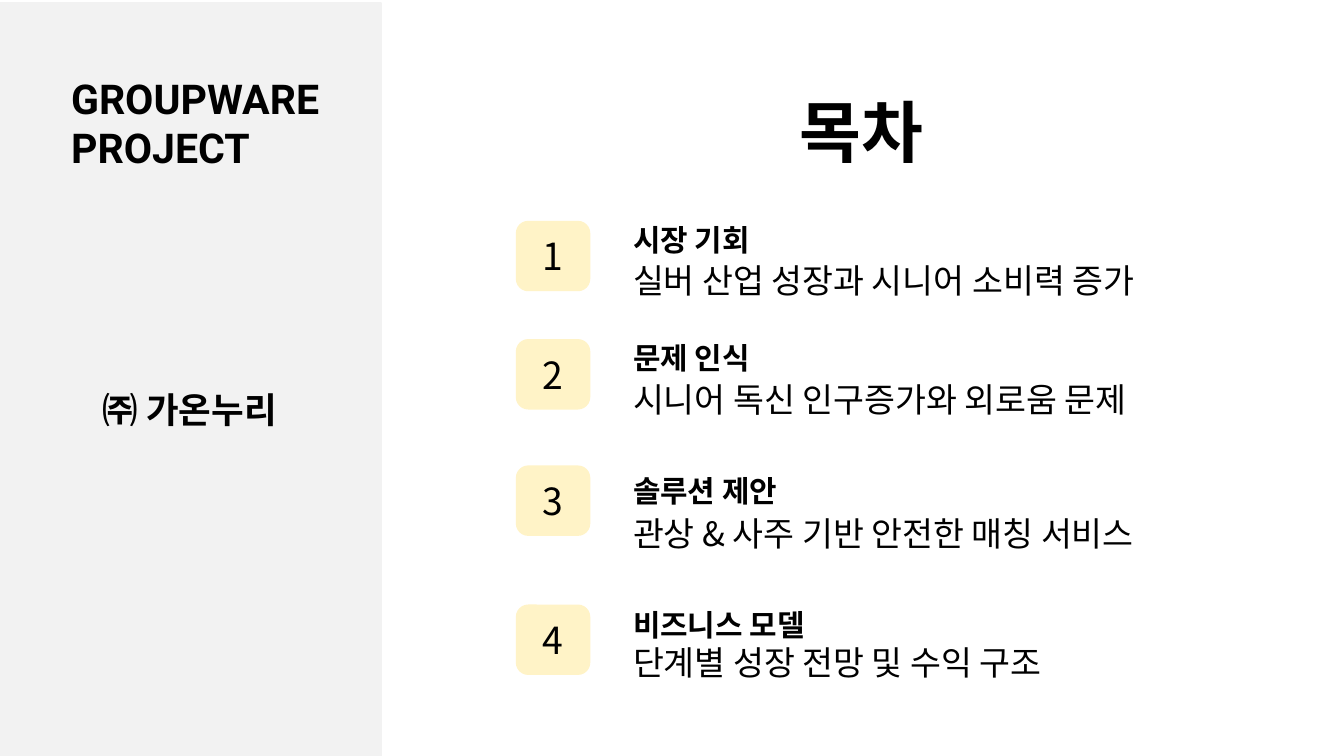
"""Build a Korean contents slide with a grey sidebar and four numbered topics."""
from lxml import etree
from pptx import Presentation
from pptx.dml.color import RGBColor
from pptx.enum.shapes import MSO_SHAPE
from pptx.enum.text import MSO_ANCHOR, PP_ALIGN
from pptx.oxml.ns import qn
from pptx.util import Inches, Pt

RECTANGLE, ROUNDED = MSO_SHAPE.RECTANGLE, MSO_SHAPE.ROUNDED_RECTANGLE
TOP, MIDDLE = MSO_ANCHOR.TOP, MSO_ANCHOR.MIDDLE
LEFT, CENTER, JUSTIFY = PP_ALIGN.LEFT, PP_ALIGN.CENTER, PP_ALIGN.JUSTIFY
COLORS = {"sidebar": "F2F2F2", "badge": "FFF3C7", "text": "000000"}
KOREAN = "Noto Sans CJK KR"
COLUMNS, ROWS = 20, 11.25

deck = Presentation()
deck.slide_width, deck.slide_height = Inches(COLUMNS), Inches(ROWS)
column, row = deck.slide_width / COLUMNS, deck.slide_height / ROWS
slide = deck.slides.add_slide(deck.slide_layouts[5])


def add_panel(kind, color, left, top, width, height):
    panel = slide.shapes.add_shape(
        kind, int(left * column), int(top * row), int(width * column), int(height * row))
    panel.shadow.inherit = False
    panel.fill.solid()
    panel.fill.fore_color.rgb = RGBColor.from_string(COLORS[color])
    panel.line.color.rgb = RGBColor.from_string(COLORS[color])
    panel.line.width = Pt(2)
    return panel


def write(box, lines, size, font=KOREAN, bold=False, align=LEFT, anchor=MIDDLE,
          spacing=None, inset=0.0):
    frame = box.text_frame
    frame.word_wrap = True
    frame.vertical_anchor = anchor
    frame.margin_left = frame.margin_right = Inches(inset)
    frame.margin_top = frame.margin_bottom = Inches(inset / 2)
    frame.text = "\n".join(lines)
    for para in frame.paragraphs:
        para.alignment = align
        para.line_spacing = spacing
        para.font.size = Pt(size)
        para.font.bold = bold
        para.font.color.rgb = RGBColor.from_string(COLORS["text"])
        para.font.name = font
        properties = para._p.pPr.find(qn("a:defRPr"))
        etree.SubElement(properties, qn("a:ea")).set("typeface", font)


add_panel(RECTANGLE, "sidebar", 0, 0.04, 5.67, 11.21)

title = slide.shapes.title
title.left, title.top = int(3.5 * column), int(1.32 * row)
title.width, title.height = int(18.64 * column), int(1.25 * row)
write(title, ["목차"], 72, bold=True, align=CENTER, inset=0.1)

sidebar_texts = [
    (0.96, 1.04, 3.96, 1.45, ["GROUPWARE", "PROJECT"], 44, "Roboto", JUSTIFY, TOP, None),
    (1.43, 5.3, 3.03, 1.28, ["㈜ 가온누리"], 38, "Calibri", LEFT, MIDDLE, 1.5),
]
for left, top, width, height, lines, size, font, align, anchor, spacing in sidebar_texts:
    box = slide.shapes.add_textbox(
        int(left * column), int(top * row), int(width * column), int(height * row))
    write(box, lines, size, font, True, align, anchor, spacing, 0.1)

topics = [
    (3.3, 3.3, 0.59, 3.85, "시장 기회", "실버 산업 성장과 시니어 소비력 증가"),
    (5.06, 5.08, 0.55, 5.62, "문제 인식", "시니어 독신 인구증가와 외로움 문제"),
    (6.94, 7.03, 0.59, 7.61, "솔루션 제안", "관상 & 사주 기반 안전한 매칭 서비스"),
    (9.01, 9.07, 0.51, 9.52, "비즈니스 모델", "단계별 성장 전망 및 수익 구조"),
]
for number, topic in enumerate(topics, 1):
    badge_top, heading_top, heading_height, detail_top, heading, detail = topic
    badge = add_panel(ROUNDED, "badge", 7.69, badge_top, 1.08, 1.02)
    write(badge, [str(number)], 40, align=CENTER)
    for top, width, height, text, size, bold in [
        (heading_top, 3.07, heading_height, heading, 32, True),
        (detail_top, 12.25, 0.78, detail, 36, False),
    ]:
        box = slide.shapes.add_textbox(
            int(9.42 * column), int(top * row), int(width * column), int(height * row))
        write(box, [text], size, bold=bold, spacing=Pt(33.8))

deck.save("out.pptx")
